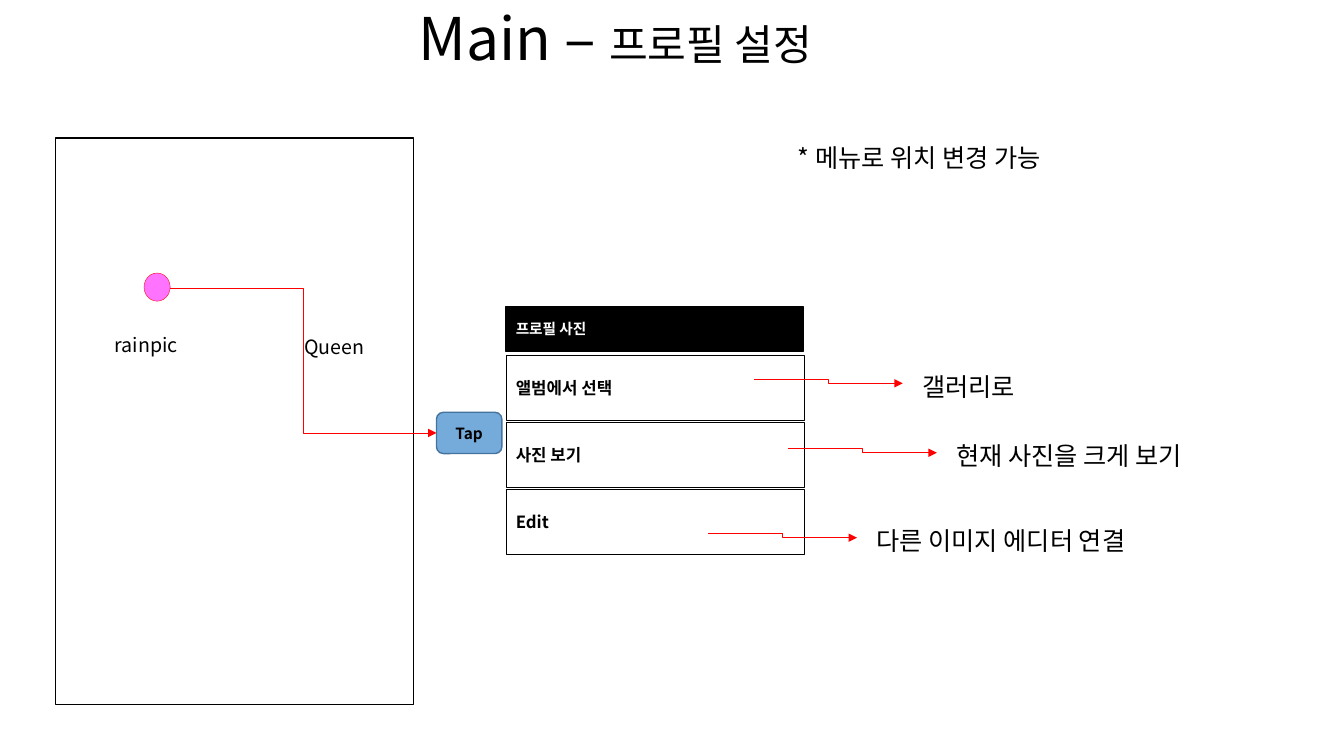
from typing import NamedTuple

from lxml import etree
from pptx import Presentation
from pptx.dml.color import RGBColor
from pptx.enum.shapes import MSO_CONNECTOR, MSO_SHAPE
from pptx.enum.text import MSO_ANCHOR, PP_ALIGN
from pptx.oxml.ns import qn
from pptx.util import Cm, Pt

RECTANGLE = MSO_SHAPE.RECTANGLE
ROUNDED = MSO_SHAPE.ROUNDED_RECTANGLE
OVAL = MSO_SHAPE.OVAL
ELBOW = MSO_CONNECTOR.ELBOW
MIDDLE, BOTTOM = MSO_ANCHOR.MIDDLE, MSO_ANCHOR.BOTTOM
LEFT, CENTER = PP_ALIGN.LEFT, PP_ALIGN.CENTER

BLACK = RGBColor(0x00, 0x00, 0x00)
WHITE = RGBColor(0xFF, 0xFF, 0xFF)
RED = RGBColor(0xFF, 0x00, 0x00)
MAGENTA = RGBColor(0xFF, 0x00, 0xFF)
BLUE = RGBColor(0x5B, 0x9B, 0xD5)
DARK_BLUE = RGBColor(0x43, 0x73, 0x9E)
FONT = "Noto Sans CJK KR"


class Box(NamedTuple):
    """Left, top, width and height in centimetres."""
    left: float
    top: float
    width: float
    height: float

    def lengths(self) -> list:
        return [Cm(value) for value in self]


class Label(NamedTuple):
    text: str
    box: Box
    size: float


class MenuItem(NamedTuple):
    text: str
    result: str
    result_left: float
    result_top: float


MENU = [
    MenuItem("앨범에서 선택", "갤러리로", 22.99, 9.22),
    MenuItem("사진 보기", "현재 사진을 크게 보기", 23.85, 10.97),
    MenuItem("Edit", "다른 이미지 에디터 연결", 21.84, 13.11),
]
MENU_LEFT, MENU_TOP, MENU_STEP = 12.75, 8.94, 1.69
NOTE_WIDTH, NOTE_HEIGHT = 9.14, 1.02

LABELS = [
    Label("rainpic", Box(2.64, 8.26, 2.1, 0.86), 14),
    Label("Queen", Box(7.42, 8.31, 2.1, 0.86), 14),
    Label("* 메뉴로 위치 변경 가능", Box(19.86, 3.45, NOTE_WIDTH, NOTE_HEIGHT), 18),
]


def style_paragraph(paragraph, size: float, color: RGBColor = BLACK,
                    bold: bool = False, align=LEFT) -> None:
    paragraph.alignment = align
    font = paragraph.font
    font.name, font.size, font.bold = FONT, Pt(size), bold
    font.color.rgb = color
    latin = paragraph.font._element.find(qn("a:latin"))
    east_asian = etree.Element(qn("a:ea"), typeface=FONT)
    latin.addnext(east_asian)


def add_panel(slide, kind, box: Box, fill: RGBColor, line: RGBColor,
              line_width: float, opacity: int = 100):
    panel = slide.shapes.add_shape(kind, *box.lengths())
    panel.shadow.inherit = False
    panel.fill.solid()
    panel.fill.fore_color.rgb = fill
    if opacity < 100:
        color = panel._element.spPr.find(qn("a:solidFill"))[0]
        etree.SubElement(color, qn("a:alpha"), val=str(opacity * 1000))
    panel.line.color.rgb = line
    panel.line.width = Pt(line_width)
    return panel


def write_panel(panel, text: str, size: float, color: RGBColor = BLACK,
                align=LEFT) -> None:
    frame = panel.text_frame
    frame.vertical_anchor = MIDDLE
    frame.text = text
    style_paragraph(frame.paragraphs[0], size, color, True, align)


def add_label(slide, label: Label) -> None:
    frame = slide.shapes.add_textbox(*label.box.lengths()).text_frame
    frame.word_wrap = True
    frame.text = label.text
    style_paragraph(frame.paragraphs[0], label.size)


def add_red_arrow(slide, left: float, top: float, right: float, bottom: float) -> None:
    arrow = slide.shapes.add_connector(ELBOW, Cm(left), Cm(top), Cm(right), Cm(bottom))
    arrow.line.color.rgb = RED
    arrow.line.width = Pt(0.5)
    properties = arrow._element.spPr
    etree.SubElement(properties.find(qn("a:ln")), qn("a:tailEnd"), type="triangle")
    etree.SubElement(properties, qn("a:effectLst"))


def add_title(slide) -> None:
    frame = slide.shapes.add_textbox(*Box(0.64, 0.3, 29.74, 1.6).lengths()).text_frame
    frame.word_wrap = True
    frame.vertical_anchor = BOTTOM
    title = frame.paragraphs[0]
    title.line_spacing = 0.7
    style_paragraph(title, 42, align=CENTER)
    for text, size in (("Main – ", 42), ("프로필 설정", 30.1)):
        run = title.add_run()
        run.text = text
        run.font.size = Pt(size)


def add_phone_screen(slide) -> None:
    add_panel(slide, RECTANGLE, Box(1.4, 3.48, 9.02, 14.27), WHITE, BLACK, 1)
    tap = add_panel(slide, ROUNDED, Box(11, 10.39, 1.65, 1.04), BLUE, DARK_BLUE, 1, 84)
    write_panel(tap, "Tap", 11, align=CENTER)
    add_red_arrow(slide, 4.29, 7.26, 11, 10.91)
    add_panel(slide, OVAL, Box(3.63, 6.88, 0.66, 0.71), MAGENTA, RED, 0.25, 55)


def add_menu(slide) -> None:
    header = add_panel(slide, RECTANGLE, Box(MENU_LEFT, 7.72, 7.49, 1.14), BLACK, BLACK, 1)
    write_panel(header, "프로필 사진", 10.5, WHITE)
    for index, item in enumerate(MENU):
        row = Box(MENU_LEFT, MENU_TOP + index * MENU_STEP, 7.52, 1.65)
        write_panel(add_panel(slide, RECTANGLE, row, WHITE, BLACK, 0.25), item.text, 12)
    for item in MENU:
        left, top = item.result_left, item.result_top
        add_label(slide, Label(item.result, Box(left, top, NOTE_WIDTH, NOTE_HEIGHT), 18))
        add_red_arrow(slide, left - 4, top + 0.33, left - 0.24, top + 0.44)


def main() -> None:
    presentation = Presentation()
    presentation.slide_width, presentation.slide_height = Cm(33.87), Cm(19.05)
    slide = presentation.slides.add_slide(presentation.slide_layouts[6])
    add_title(slide)
    add_phone_screen(slide)
    add_menu(slide)
    for label in LABELS:
        add_label(slide, label)
    presentation.save("out.pptx")


if __name__ == "__main__":
    main()
